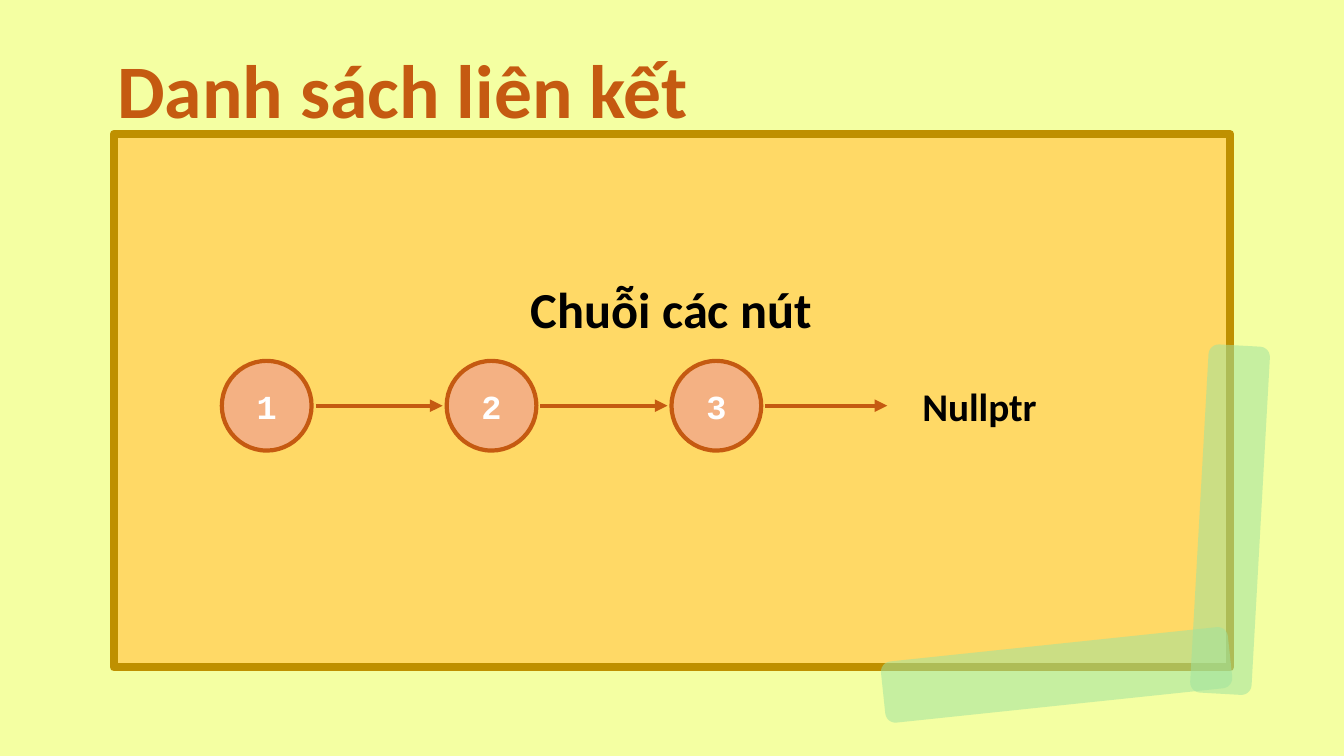
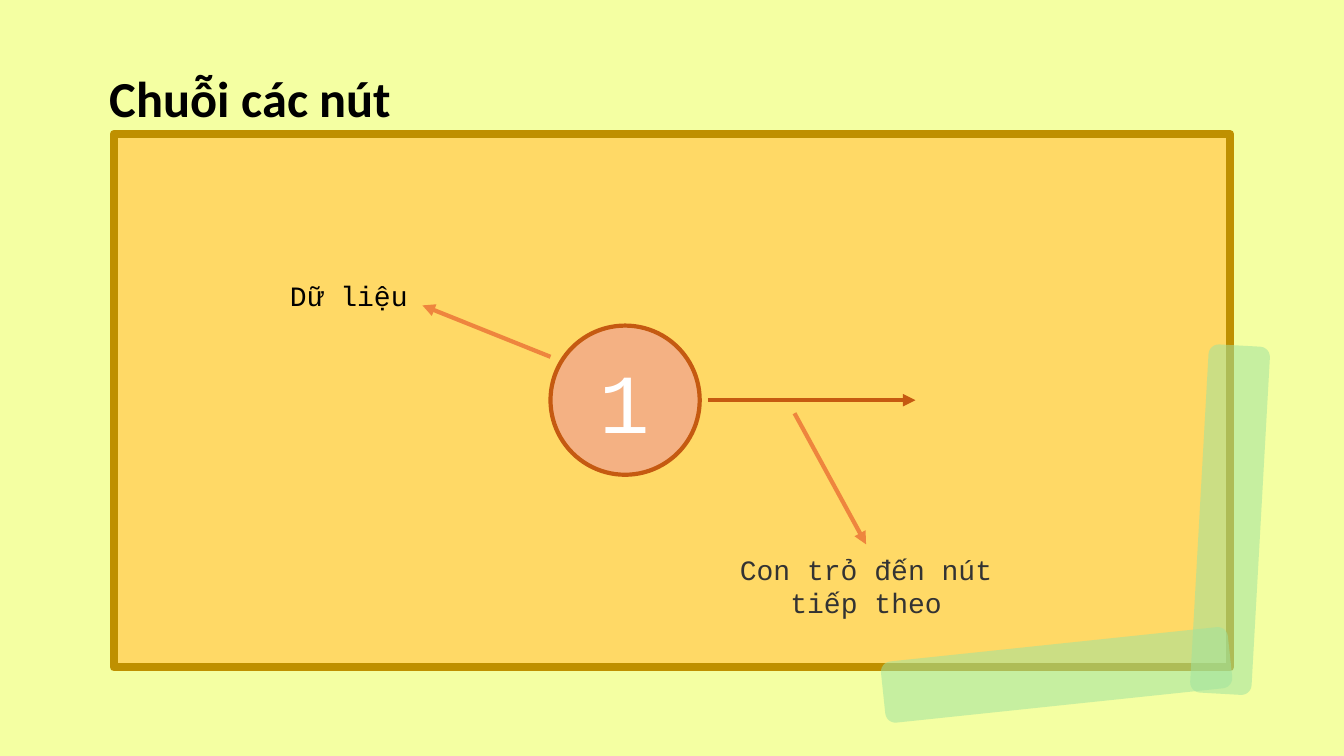
from lxml.etree import SubElement
from pptx import Presentation
from pptx.dml.color import RGBColor
from pptx.enum.shapes import MSO_CONNECTOR, MSO_SHAPE
from pptx.enum.text import MSO_ANCHOR, MSO_AUTO_SIZE, PP_ALIGN
from pptx.oxml.ns import qn
from pptx.util import Inches, Pt

# Shared look
BACKGROUND = "F4FFA2"
PANEL, PANEL_BORDER = "FFD966", "BF9000"
TAPE, TAPE_OPACITY = "A0E39F", 54
NODE, NODE_BORDER = "F4B183", "C55A11"
CALLOUT = "EE853E"
BLACK, GREY, WHITE = "000000", "333333", "FFFFFF"
SANS, MONO = "Calibri", "Courier New"
TITLE_LAYOUT = 5


def paint(color_format, hex_color):
    color_format.rgb = RGBColor.from_string(hex_color)


def write(frame, text, size, color, font=SANS, bold=False,
          align=PP_ALIGN.CENTER, anchor=MSO_ANCHOR.TOP, wrap=True):
    frame.word_wrap = wrap
    frame.vertical_anchor = anchor
    paragraph = frame.paragraphs[0]
    paragraph.alignment = align
    run = paragraph.add_run()
    run.text = text
    run.font.name = font
    run.font.size = Pt(size)
    run.font.bold = bold
    paint(run.font.color, color)


def add_block(slide, preset, box, fill, border=None, border_width=3):
    block = slide.shapes.add_shape(preset, *map(Inches, box))
    block.shadow.inherit = False
    block.fill.solid()
    paint(block.fill.fore_color, fill)
    if border:
        paint(block.line.color, border)
        block.line.width = Pt(border_width)
    else:
        block.line.fill.background()
    return block


def add_tape(slide, box, rotation):
    tape = add_block(slide, MSO_SHAPE.ROUNDED_RECTANGLE, box, TAPE)
    tape.rotation = rotation
    color = tape.fill._xPr.find(qn("a:solidFill"))[0]
    SubElement(color, qn("a:alpha"), val=str(TAPE_OPACITY * 1000))


def add_node(slide, left, top, diameter, text, size, bold):
    node = add_block(slide, MSO_SHAPE.OVAL, (left, top, diameter, diameter),
                     NODE, NODE_BORDER)
    write(node.text_frame, text, size, WHITE, MONO, bold,
          anchor=MSO_ANCHOR.MIDDLE)


def add_arrow(slide, start, end, color=NODE_BORDER):
    arrow = slide.shapes.add_connector(
        MSO_CONNECTOR.STRAIGHT, *map(Inches, (*start, *end)))
    paint(arrow.line.color, color)
    arrow.line.width = Pt(3)
    SubElement(arrow.line._get_or_add_ln(), qn("a:tailEnd"), type="triangle")
    SubElement(arrow._element.spPr, qn("a:effectLst"))


def add_label(slide, box, text, size, color, **style):
    label = slide.shapes.add_textbox(*map(Inches, box))
    write(label.text_frame, text, size, color, **style)


def add_panel_slide(prs, title_text, title_box, size, color, **style):
    slide = prs.slides.add_slide(prs.slide_layouts[TITLE_LAYOUT])
    title = slide.shapes.title
    title.left, title.top, title.width, title.height = map(Inches, title_box)
    title.text_frame.auto_size = MSO_AUTO_SIZE.NONE
    write(title.text_frame, title_text, size, color, bold=True, **style)
    # Framed panel with two strips of tape on its corner
    add_block(slide, MSO_SHAPE.RECTANGLE, (1.13, 1.33, 11.07, 5.29),
              PANEL, PANEL_BORDER, 6)
    add_tape(slide, (10.47, 4.85, 3.46, 0.61), 273.2)
    add_tape(slide, (8.75, 6.39, 3.46, 0.61), 354)
    return slide


def build_list_slide(prs):
    slide = add_panel_slide(prs, "Danh sách liên kết",
                            (0.96, 0.38, 6.07, 1.01), 54, NODE_BORDER,
                            wrap=False)
    # Chain of nodes, each pointing to the next
    first_left, top, diameter, pitch, gap = 2.2, 3.58, 0.89, 2.23, 0.04
    middle = top + diameter / 2
    values = ("1", "2", "3")
    for index, value in enumerate(values):
        left = first_left + index * pitch
        is_last = index == len(values) - 1
        arrow_end = 8.8 if is_last else left + pitch - gap
        add_node(slide, left, top, diameter, value, 24, True)
        add_arrow(slide, (left + diameter + gap, middle), (arrow_end, middle))
    add_label(slide, (8.85, 3.74, 1.73, 0.57), "Nullptr", 28, BLACK, bold=True)
    add_label(slide, (4.94, 2.71, 3.44, 0.71), "Chuỗi các nút", 36, BLACK,
              bold=True)


def build_node_slide(prs):
    slide = add_panel_slide(prs, "Chuỗi các nút", (0.99, 0.62, 3.44, 0.71),
                            36, BLACK, align=PP_ALIGN.LEFT)
    # One node and its pointer
    add_node(slide, 5.46, 3.23, 1.48, "1", 60, False)
    add_arrow(slide, (7.02, 3.97), (9.08, 3.97))
    # Callouts
    add_arrow(slide, (5.46, 3.54), (4.19, 3.03), CALLOUT)
    add_label(slide, (2.73, 2.71, 1.46, 0.44), "Dữ liệu", 20, BLACK, font=MONO)
    add_arrow(slide, (7.88, 4.1), (8.59, 5.4), CALLOUT)
    add_label(slide, (7.2, 5.43, 2.78, 0.77), "Con trỏ đến nút tiếp theo",
              20, GREY, font=MONO)


def main():
    prs = Presentation()
    prs.slide_width, prs.slide_height = Inches(13.33), Inches(7.5)
    backdrop = prs.slide_master.background.fill
    backdrop.solid()
    paint(backdrop.fore_color, BACKGROUND)
    build_list_slide(prs)
    build_node_slide(prs)
    prs.save("out.pptx")


if __name__ == "__main__":
    main()
